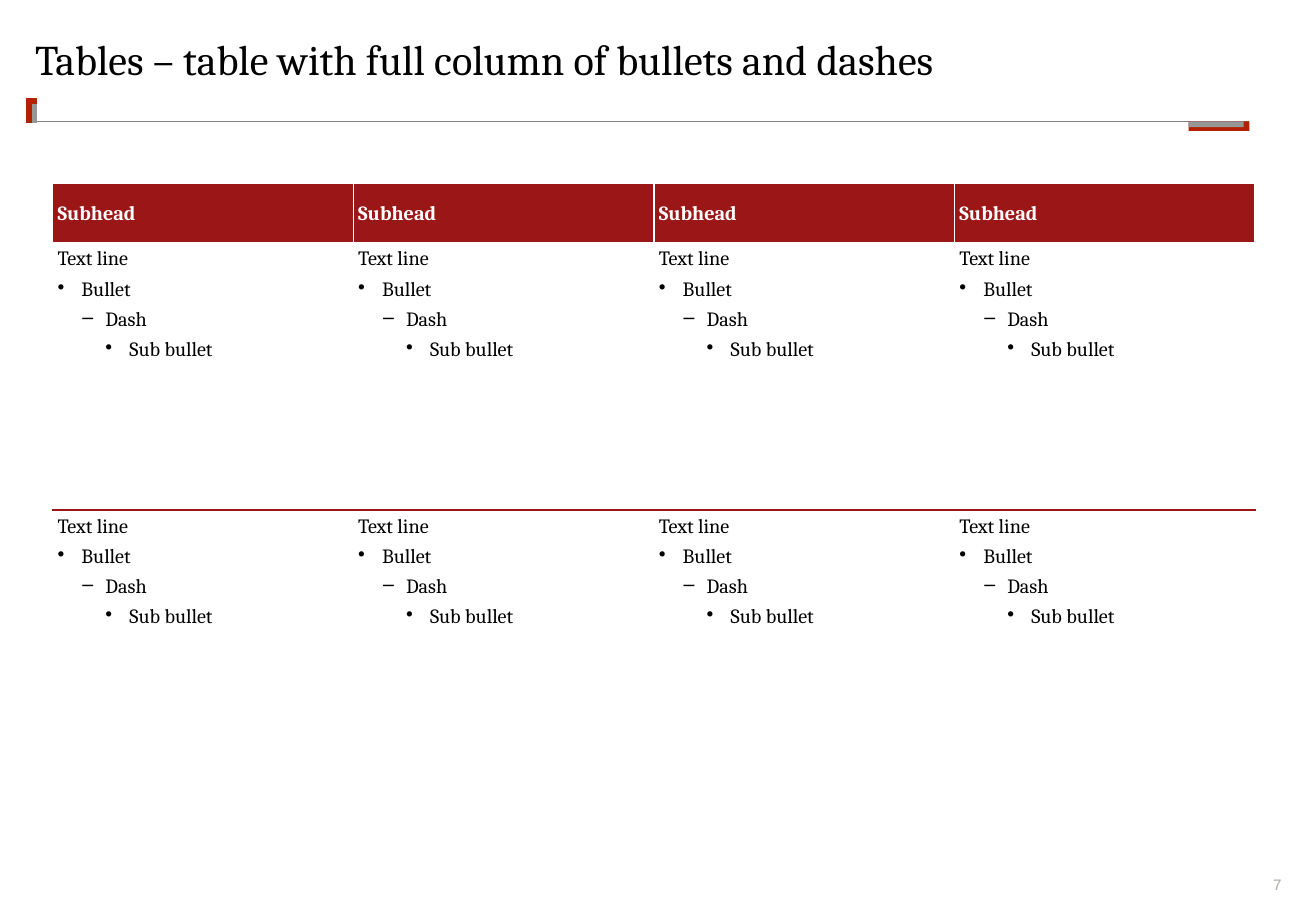
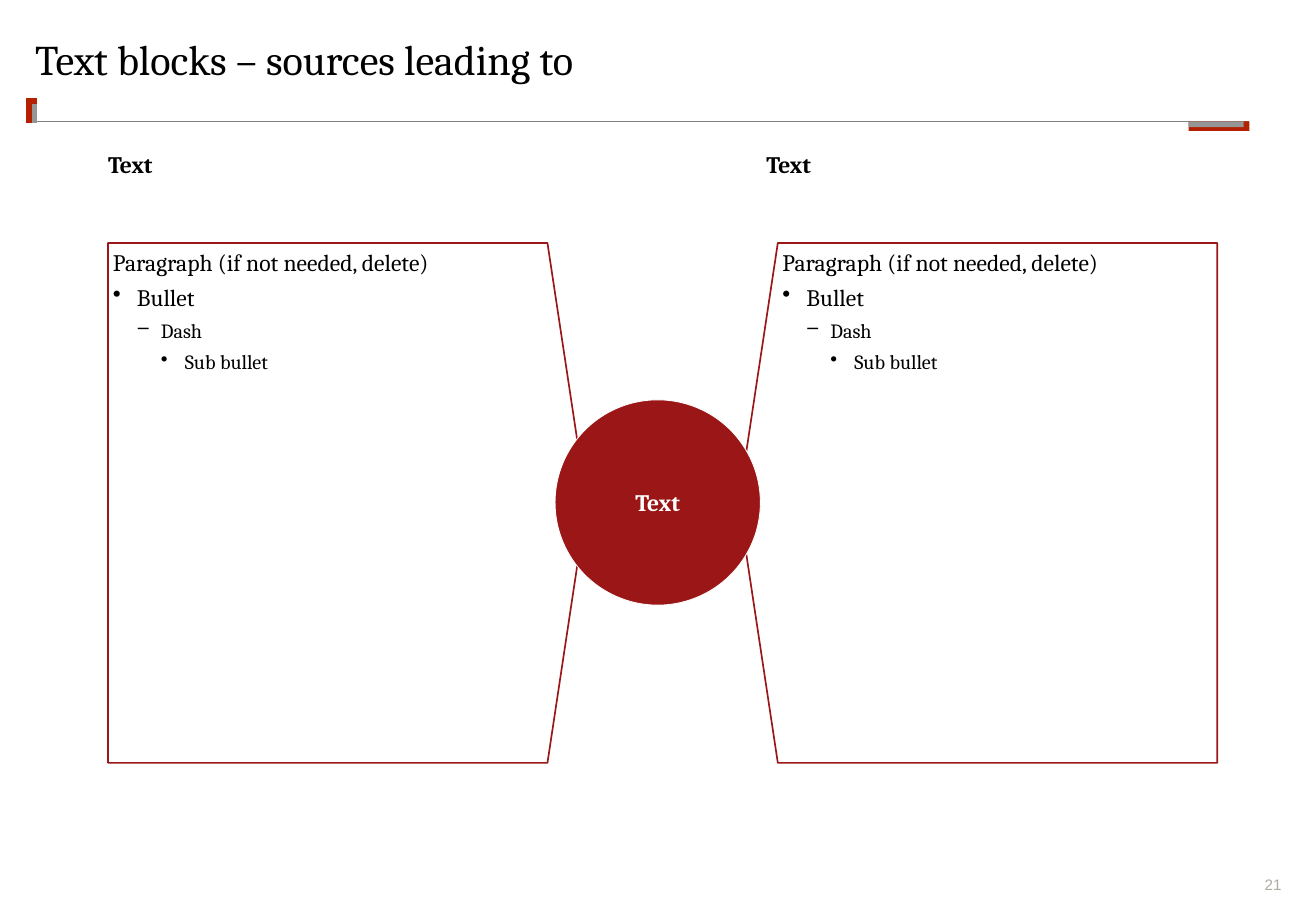
from lxml import etree
from pptx import Presentation
from pptx.dml.color import RGBColor
from pptx.enum.shapes import MSO_CONNECTOR, MSO_SHAPE
from pptx.enum.text import MSO_ANCHOR, MSO_AUTO_SIZE, PP_ALIGN
from pptx.oxml.ns import qn
from pptx.util import Pt

STRAIGHT = MSO_CONNECTOR.STRAIGHT
RECTANGLE, PENTAGON, OVAL = MSO_SHAPE.RECTANGLE, MSO_SHAPE.PENTAGON, MSO_SHAPE.OVAL
TOP, MIDDLE, BOTTOM = MSO_ANCHOR.TOP, MSO_ANCHOR.MIDDLE, MSO_ANCHOR.BOTTOM
LEFT, CENTER, RIGHT = PP_ALIGN.LEFT, PP_ALIGN.CENTER, PP_ALIGN.RIGHT
FIT_SHAPE, NO_FIT = MSO_AUTO_SIZE.SHAPE_TO_FIT_TEXT, MSO_AUTO_SIZE.NONE

COLORS = {name: RGBColor.from_string(value) for name, value in {
    "black": "000000", "white": "FFFFFF", "red": "9B1717", "accent": "B42100",
    "rule": "808080", "gray": "969696", "number": "ADABA1"}.items()}
TEXT_FONT = "Cambria"
INSET = 2.9
LEVEL_STEP = 14.2
BULLETS = ["", "•", "‒", "•"]

presentation = Presentation()
presentation.slide_width, presentation.slide_height = Pt(780), Pt(540)


def write(box, lines, color="black", bold=False, font=TEXT_FONT, align=LEFT,
          anchor=TOP, inset=INSET, line_spacing=None):
    """Fill a shape or a table cell; each line is (text, size), one level deeper each."""
    frame = box.text_frame
    holder = box if hasattr(box, "margin_left") else frame
    holder.margin_left = holder.margin_right = Pt(inset)
    holder.margin_top = holder.margin_bottom = Pt(inset)
    holder.vertical_anchor = anchor
    for level, (text, size) in enumerate(lines):
        paragraph = frame.add_paragraph() if level else frame.paragraphs[0]
        paragraph.text = text
        paragraph.alignment = align
        if line_spacing:
            paragraph.line_spacing = line_spacing
        if level:
            paragraph.level = level
            paragraph.space_before = Pt(4)
            properties = paragraph._p.get_or_add_pPr()
            properties.set("marL", str(Pt(LEVEL_STEP * level)))
            properties.set("indent", str(-Pt(LEVEL_STEP)))
            etree.SubElement(properties, qn("a:buChar"), char=BULLETS[level])
        paragraph.font.name = font
        paragraph.font.size = Pt(size)
        paragraph.font.bold = bold
        paragraph.font.color.rgb = COLORS[color]


def add_slide(title, number):
    """Add a slide with its title, header rules and page number."""
    slide = presentation.slides.add_slide(presentation.slide_layouts[5])

    # Header rules: x1, y1, x2, y2, colour, width
    for x1, y1, x2, y2, color, width in [
            (21.6, 72, 740.2, 72, "rule", 1),
            (18.7, 72.7, 18.7, 58.3, "accent", 6),
            (20.2, 72.7, 20.2, 61.9, "gray", 3)]:
        rule = slide.shapes.add_connector(STRAIGHT, Pt(x1), Pt(y1), Pt(x2), Pt(y2))
        rule.line.color.rgb = COLORS[color]
        rule.line.width = Pt(width)
        etree.SubElement(rule._element.spPr, qn("a:effectLst"))

    # Tab at the right end of the rule
    for width, height, color in [(36, 5.6, "accent"), (32.6, 3.4, "gray")]:
        tab = slide.shapes.add_shape(RECTANGLE, Pt(704.6), Pt(72), Pt(width), Pt(height))
        tab.shadow.inherit = False
        tab.fill.solid()
        tab.fill.fore_color.rgb = COLORS[color]
        tab.line.fill.background()

    # Title and page number
    heading = slide.shapes.title
    heading.left, heading.top, heading.width, heading.height = Pt(20.9), Pt(23), Pt(738), Pt(48.2)
    heading.text_frame.auto_size = NO_FIT
    write(heading, [(title, 25)], inset=0, line_spacing=0.9)
    page_number = slide.shapes.add_textbox(Pt(737.3), Pt(519.1), Pt(22.3), Pt(10.8))
    write(page_number, [(number, 9)], color="number", font="Arial", align=RIGHT,
          anchor=BOTTOM, inset=0)
    return slide


# Slide with the table
slide = add_slide("Tables – table with full column of bullets and dashes", "7")
row_heights = [35.2, 158.4, 158.4]
column_count, column_width = 4, 178.2
table = slide.shapes.add_table(len(row_heights), column_count, Pt(31.2), Pt(108.8),
                               Pt(column_count * column_width), Pt(sum(row_heights))).table
table.first_row = table.horz_banding = False
for column in table.columns:
    column.width = Pt(column_width)
cell_lines = [(text, 12) for text in ("Text line", "Bullet", "Dash", "Sub bullet")]

for row_index, row in enumerate(table.rows):
    row.height = Pt(row_heights[row_index])
    for cell in row.cells:
        if row_index == 0:
            cell.fill.solid()
            cell.fill.fore_color.rgb = COLORS["red"]
            write(cell, [("Subhead", 12)], color="white", bold=True, anchor=MIDDLE,
                  line_spacing=1.06)
        else:
            cell.fill.background()
            write(cell, cell_lines)

        # Cell borders: red between the two body rows, white elsewhere
        borders = {"lnL": "white", "lnR": "white",
                   "lnT": "red" if row_index == 2 else "white",
                   "lnB": "red" if row_index == 1 else "white"}
        cell_properties = cell._tc.get_or_add_tcPr()
        for position, (side, color) in enumerate(borders.items()):
            border = etree.Element(qn("a:" + side), w=str(Pt(1)))
            fill = etree.SubElement(border, qn("a:solidFill"))
            etree.SubElement(fill, qn("a:srgbClr"), val=str(COLORS[color]))
            cell_properties.insert(position, border)

# Slide with two text blocks leading to a circle
slide = add_slide("Text blocks – sources leading to", "21")
block_lines = [("Paragraph (if not needed, delete)", 14), ("Bullet", 14),
               ("Dash", 12), ("Sub bullet", 12)]

for block_left, label_left, flipped in [(64.1, 64.1, False), (437.8, 454.3, True)]:
    block = slide.shapes.add_shape(PENTAGON, Pt(block_left), Pt(144), Pt(283.7), Pt(308.2))
    block.adjustments[0] = 0.082
    block.shadow.inherit = False
    block.fill.solid()
    block.fill.fore_color.rgb = COLORS["white"]
    block.line.color.rgb = COLORS["red"]
    block.line.width = Pt(1)
    write(block, block_lines)
    if flipped:
        block._element.spPr.find(qn("a:xfrm")).set("flipH", "1")
        block.text_frame.margin_left = Pt(14.4)

    label = slide.shapes.add_textbox(Pt(label_left), Pt(88.6), Pt(28), Pt(17))
    label.text_frame.word_wrap = False
    label.text_frame.auto_size = FIT_SHAPE
    write(label, [("Text", 14)], bold=True, inset=0)

circle = slide.shapes.add_shape(OVAL, Pt(329), Pt(237), Pt(121.7), Pt(121.7))
circle.shadow.inherit = False
circle.fill.solid()
circle.fill.fore_color.rgb = COLORS["red"]
circle.line.color.rgb = COLORS["white"]
circle.line.width = Pt(0.5)
write(circle, [("Text", 14)], color="white", bold=True, align=CENTER, anchor=MIDDLE)

presentation.save("out.pptx")
